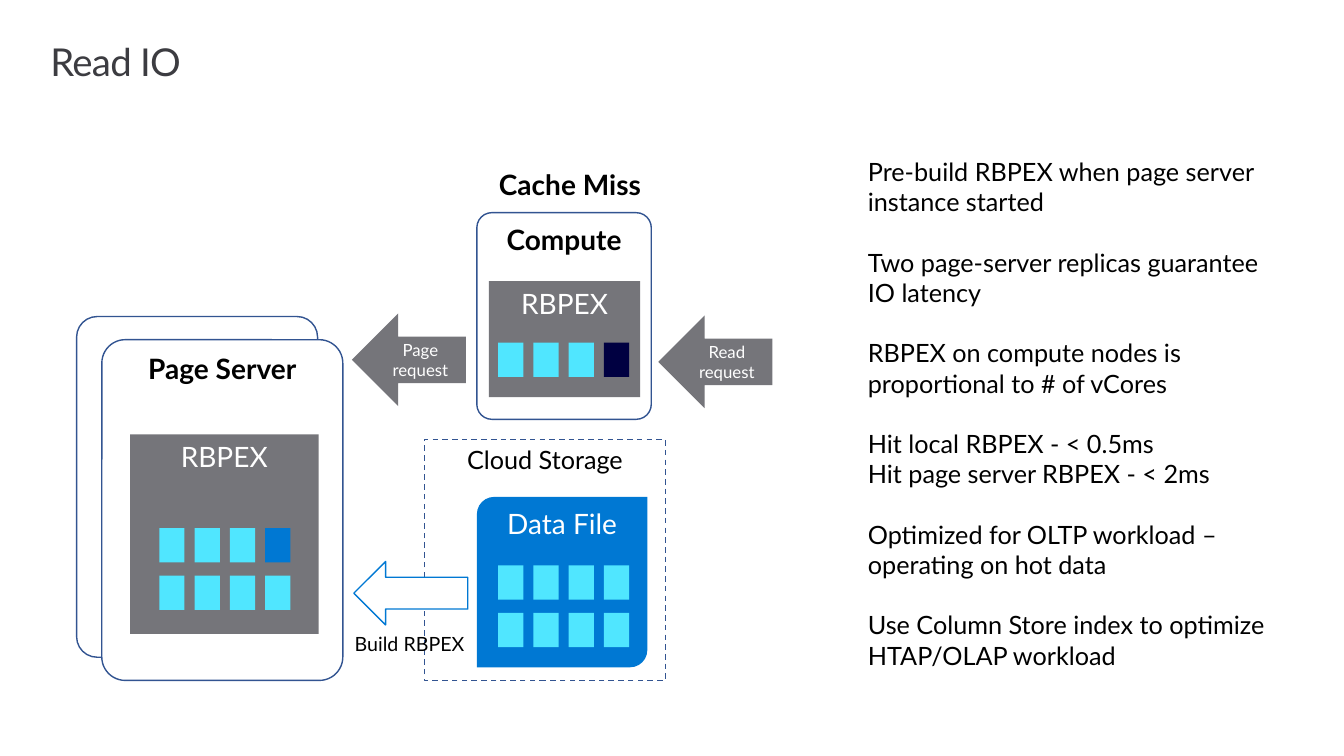
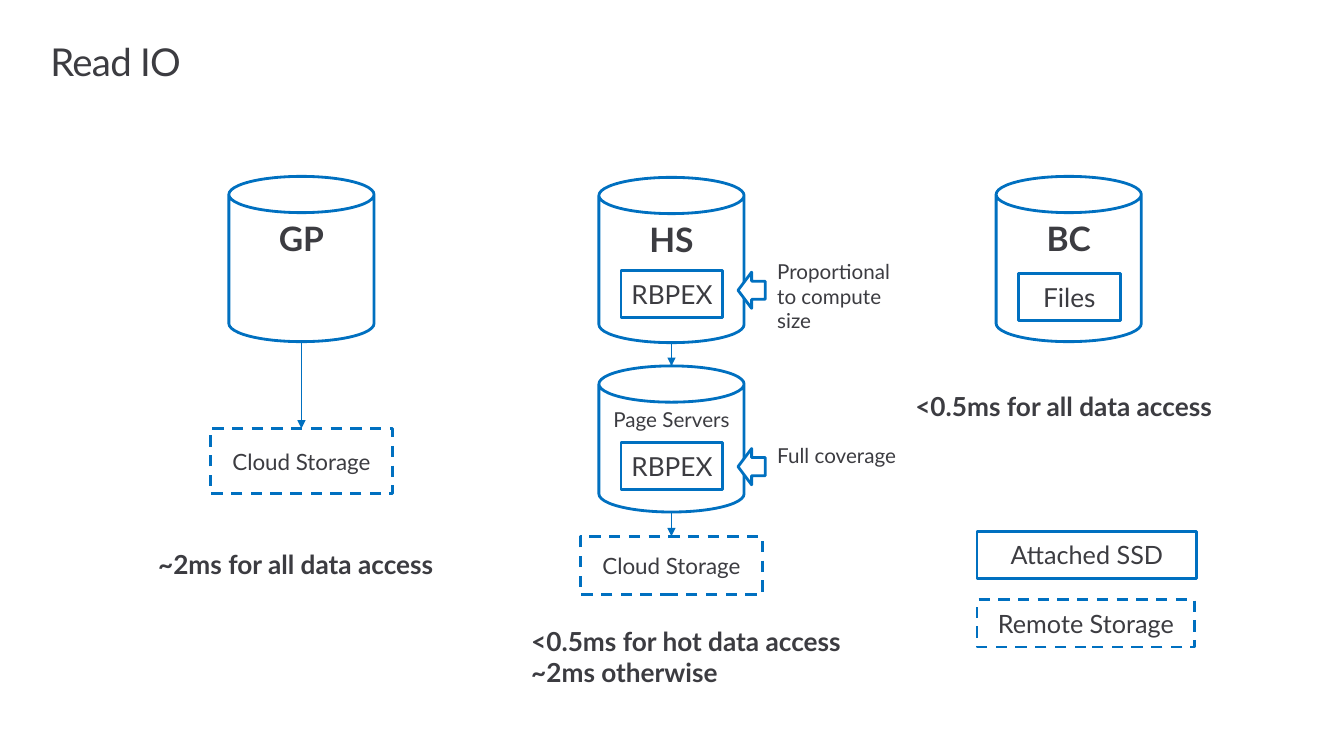
from lxml import etree
from pptx import Presentation
from pptx.dml.color import RGBColor
from pptx.enum.dml import MSO_LINE
from pptx.enum.shapes import MSO_CONNECTOR, MSO_SHAPE
from pptx.enum.text import MSO_ANCHOR, PP_ALIGN
from pptx.oxml.ns import qn
from pptx.util import Inches, Pt

RECT, ROUND = MSO_SHAPE.RECTANGLE, MSO_SHAPE.ROUNDED_RECTANGLE
DIAGONAL, CAN = MSO_SHAPE.ROUND_2_DIAG_RECTANGLE, MSO_SHAPE.CAN
ARROW, STRAIGHT = MSO_SHAPE.LEFT_ARROW, MSO_CONNECTOR.STRAIGHT
DASH = MSO_LINE.DASH
TOP, MIDDLE = MSO_ANCHOR.TOP, MSO_ANCHOR.MIDDLE
LEFT, CENTER = PP_ALIGN.LEFT, PP_ALIGN.CENTER

FONT = "Lato"
BLACK, WHITE, INK, GRAY = "000000", "FFFFFF", "3C3C41", "75757A"
NAVY_LINE, BLUE, LINE_BLUE = "325491", "0078D3", "0070C0"
CYAN, DARK = "50E6FF", "000041"


def rgb(value):
    return RGBColor.from_string(value)


class Deck:
    """Holds the shared style and the slide being drawn."""

    def __init__(self):
        self.prs = Presentation()
        self.prs.slide_width = Inches(13.33)
        self.prs.slide_height = Inches(7.5)
        self.s = None

    def slide(self, title):
        self.s = self.prs.slides.add_slide(self.prs.slide_layouts[6])
        sp = self.text(0.5, 0.33, 12.36, 0.89, [title], 27.4, INK)
        tf = sp.text_frame
        tf.margin_left, tf.margin_right = 0, Inches(0.16)
        tf.margin_top = tf.margin_bottom = Inches(0.1)
        p = tf.paragraphs[0]
        p.line_spacing = 0.9
        p.runs[0]._r.get_or_add_rPr().set("spc", "-50")

    def set_text(self, sp, lines, size, color, bold, align, anchor, gaps=()):
        tf = sp.text_frame
        tf.word_wrap = True
        tf.vertical_anchor = anchor
        for i, line in enumerate(lines):
            p = tf.paragraphs[0] if i == 0 else tf.add_paragraph()
            p.text = line
            p.alignment = align
            if i in gaps:
                p.space_before = Pt(size * 1.2)
            p.font.name, p.font.size, p.font.bold = FONT, Pt(size), bold
            p.font.color.rgb = rgb(color)

    def text(self, x, y, w, h, lines, size, color, bold=False, gaps=()):
        sp = self.s.shapes.add_textbox(Inches(x), Inches(y), Inches(w), Inches(h))
        self.set_text(sp, lines, size, color, bold, LEFT, TOP, gaps)
        return sp

    def shape(self, kind, x, y, w, h, text="", size=20, color=WHITE, bold=False,
              anchor=TOP, fill=None, line=None, width=1, dash=False, adj=()):
        sp = self.s.shapes.add_shape(kind, Inches(x), Inches(y), Inches(w), Inches(h))
        sp.shadow.inherit = False
        for i, value in enumerate(adj):
            sp.adjustments[i] = value
        if fill:
            sp.fill.solid()
            sp.fill.fore_color.rgb = rgb(fill)
        else:
            sp.fill.background()
        if line:
            sp.line.color.rgb = rgb(line)
            sp.line.width = Pt(width)
            if dash:
                sp.line.dash_style = DASH
        else:
            sp.line.fill.background()
        if text:
            self.set_text(sp, [text], size, color, bold, CENTER, anchor)
        return sp

    def pages(self, x, y, rows, last=CYAN):
        for row in range(rows):
            for col in range(4):
                fill = last if (row, col) == (0, 3) else CYAN
                self.shape(RECT, x + 0.35 * col, y + 0.47 * row, 0.25, 0.34, fill=fill)

    def request(self, x, y, text):
        self.shape(ARROW, x, y, 1.13, 0.92, text, 12, anchor=MIDDLE, fill=GRAY)

    def can(self, x, y, h, text, size=24, bold=True):
        self.shape(CAN, x, y, 1.44, h, text, size, INK, bold, line=LINE_BLUE, width=2)

    def store(self, x, y, w, h, text, size=18.7, dash=False):
        return self.shape(RECT, x, y, w, h, text, size, INK, anchor=MIDDLE,
                          line=LINE_BLUE, width=2, dash=dash)

    def callout(self, y, text, text_y, text_h):
        self.shape(ARROW, 7.32, y, 0.27, 0.36, fill=WHITE, line=LINE_BLUE, width=2)
        self.text(7.61, text_y, 1.44, text_h, [text], 14.7, INK)

    def arrow(self, x, y1, y2, target=None):
        c = self.s.shapes.add_connector(STRAIGHT, Inches(x), Inches(y1), Inches(x), Inches(y2))
        c.line.color.rgb = rgb(LINE_BLUE)
        c.line.width = Pt(0.75)
        etree.SubElement(c.line._get_or_add_ln(), qn("a:tailEnd"), type="triangle")
        etree.SubElement(c._element.spPr, qn("a:effectLst"))
        if target:
            c.end_connect(target, 0)


def read_flow(d):
    d.slide("Read IO")
    d.shape(ROUND, 0.76, 3.14, 2.39, 3.38, line=NAVY_LINE, adj=[0.085])
    d.shape(ROUND, 1.01, 3.37, 2.39, 3.38, "Page Server", color=BLACK, bold=True,
            fill=WHITE, line=NAVY_LINE, adj=[0.097])
    d.shape(RECT, 1.29, 4.31, 1.87, 1.98, "RBPEX", fill=GRAY)
    d.pages(1.58, 5.24, 2, BLUE)

    d.shape(RECT, 4.21, 4.36, 2.39, 2.39, "Cloud Storage", 18, BLACK,
            line=NAVY_LINE, dash=True)
    d.shape(DIAGONAL, 4.73, 4.93, 1.69, 1.69, "Data File", fill=BLUE, adj=[0.101, 0])
    d.pages(4.94, 5.61, 2)

    d.text(4.85, 1.61, 1.72, 0.44, ["Cache Miss"], 20, BLACK, True)
    d.shape(ROUND, 4.73, 2.11, 1.73, 2.05, "Compute", color=BLACK, bold=True,
            line=NAVY_LINE, adj=[0.086])
    d.shape(RECT, 4.85, 2.79, 1.5, 1.15, "RBPEX", fill=GRAY)
    d.pages(4.94, 3.4, 1, DARK)

    d.request(6.53, 3.13, "Read request")
    d.request(3.49, 3.11, "Page request")
    d.shape(ARROW, 3.51, 5.57, 1.13, 0.63, fill=WHITE, line=BLUE)
    d.text(3.42, 6.22, 1.4, 0.35, ["Build RBPEX"], 14, BLACK)

    d.text(8.51, 1.5, 4.36, 5.25, [
        "Pre-build RBPEX when page server instance started",
        "Two page-server replicas guarantee \vIO latency",
        "RBPEX on compute nodes is proportional to # of vCores",
        "Hit local RBPEX - < 0.5ms",
        "Hit page server RBPEX - < 2ms",
        "Optimized for OLTP workload – operating on hot data",
        "Use Column Store index to optimize HTAP/OLAP workload",
    ], 18, BLACK, gaps=(1, 2, 3, 5, 6))


def tiers(d):
    d.slide("Read IO")
    d.can(2.27, 1.75, 1.64, "GP")
    storage = d.store(2.09, 4.25, 1.8, 0.65, "Cloud Storage", 16, True)
    d.arrow(2.99, 3.39, 4.25, storage)
    d.text(1.47, 5.39, 3.14, 0.42, ["~2ms for all data access"], 18.7, INK, True)

    d.can(5.94, 1.76, 1.64, "HS")
    d.store(6.16, 2.68, 1.01, 0.47, "RBPEX")
    d.arrow(6.66, 3.4, 3.63)
    d.can(5.94, 3.63, 1.45, "Page Servers", 14.7, False)
    d.store(6.16, 4.39, 1.01, 0.47, "RBPEX")
    storage = d.store(5.76, 5.32, 1.8, 0.58, "Cloud Storage", 16, True)
    d.arrow(6.66, 5.08, 5.32, storage)
    d.callout(2.7, "Proportional to compute size", 2.52, 0.84)
    d.callout(4.45, "Full coverage", 4.34, 0.35)
    d.text(5.17, 6.15, 3.49, 0.73,
           ["<0.5ms for hot data access", "~2ms otherwise"], 18.7, INK, True)

    d.can(9.88, 1.75, 1.64, "BC")
    d.store(10.1, 2.71, 1.01, 0.47, "Files")
    d.text(8.98, 3.82, 3.36, 0.42, ["<0.5ms for all data access"], 18.7, INK, True)

    d.store(9.69, 5.27, 2.18, 0.47, "Attached SSD", 18)
    d.store(9.69, 5.95, 2.16, 0.47, "Remote Storage", 18, True)


def main():
    d = Deck()
    read_flow(d)
    tiers(d)
    d.prs.save("out.pptx")


if __name__ == "__main__":
    main()
